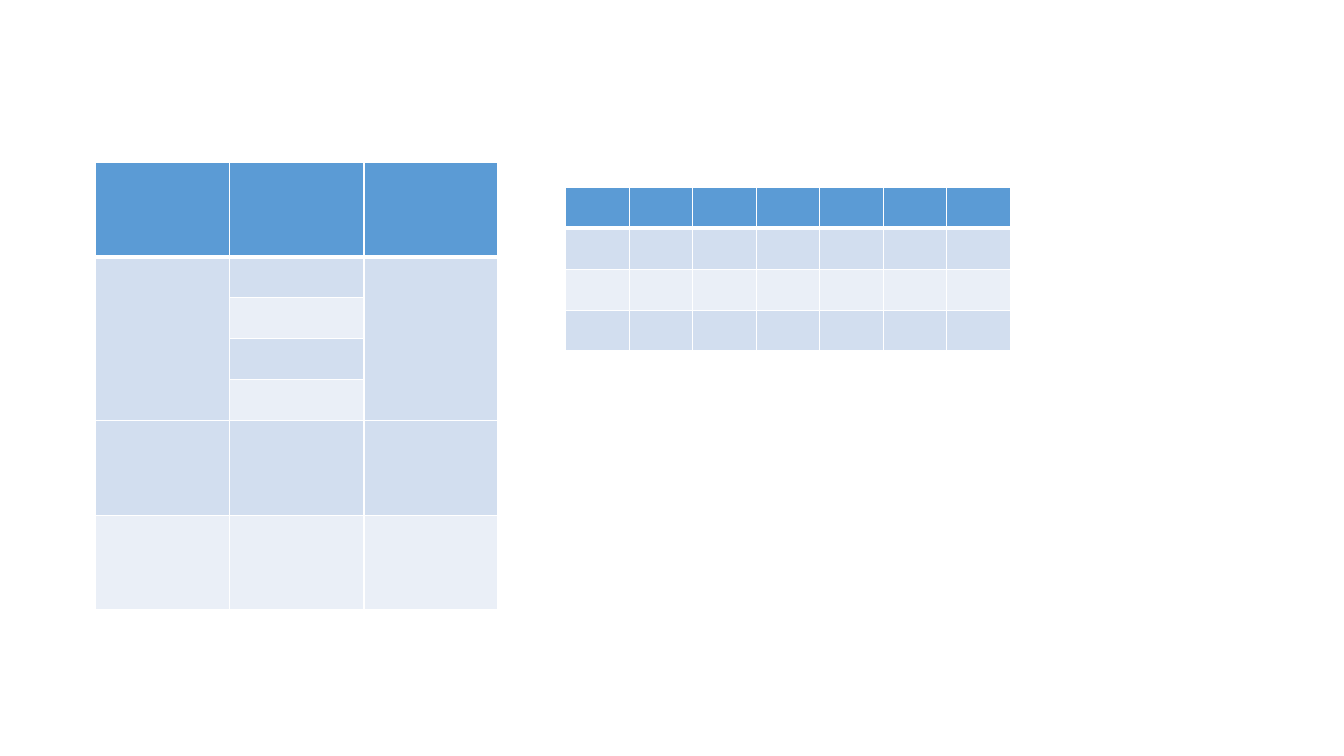
from lxml.etree import SubElement
from pptx import Presentation
from pptx.dml.color import RGBColor
from pptx.oxml.ns import qn
from pptx.util import Inches, Pt

HEADER_BLUE = RGBColor(0x5B, 0x9B, 0xD5)
BAND_DARK = RGBColor(0xD2, 0xDE, 0xEF)
BAND_LIGHT = RGBColor(0xEA, 0xEF, 0xF7)
GRID_WHITE = RGBColor(0xFF, 0xFF, 0xFF)


class BandedSlide:
    grid_width = Pt(1)
    header_rule_width = Pt(3)

    def __init__(self, presentation):
        self.slide = presentation.slides.add_slide(presentation.slide_layouts[6])

    def table(self, left, top, column_widths, row_heights, row_spans=()):
        """Add a banded table; row_spans lists (first row, last row, column)."""
        grid = self.slide.shapes.add_table(
            len(row_heights), len(column_widths), Inches(left), Inches(top),
            Inches(sum(column_widths)), Inches(sum(row_heights))).table
        for column, width in zip(grid.columns, column_widths):
            column.width = Inches(width)
        for index, (row, height) in enumerate(zip(grid.rows, row_heights)):
            row.height = Inches(height)
            for cell in row.cells:
                self.style_cell(cell, index)
        for first, last, column in row_spans:
            grid.cell(first, column).merge(grid.cell(last, column))

    def style_cell(self, cell, row_index):
        widths = dict.fromkeys(("lnL", "lnR", "lnT", "lnB"), self.grid_width)
        if row_index == 0:
            widths["lnB"] = self.header_rule_width
        elif row_index == 1:
            widths["lnT"] = self.header_rule_width
        properties = cell._tc.get_or_add_tcPr()
        for side, width in widths.items():
            border = SubElement(properties, qn(f"a:{side}"), w=str(width))
            paint = SubElement(border, qn("a:solidFill"))
            SubElement(paint, qn("a:srgbClr"), val=str(GRID_WHITE))
        cell.fill.solid()
        band = BAND_DARK if row_index % 2 else BAND_LIGHT
        cell.fill.fore_color.rgb = band if row_index else HEADER_BLUE


def main():
    presentation = Presentation()
    presentation.slide_width = Inches(13.33)
    presentation.slide_height = Inches(7.5)

    page = BandedSlide(presentation)
    page.table(5.61, 1.86, [0.63] * 7, [0.4] * 4)
    page.table(0.95, 1.61, [1.33] * 3, [0.94] + [0.4] * 4 + [0.94] * 2,
               row_spans=[(1, 4, 0), (1, 4, 2)])

    presentation.save("out.pptx")


if __name__ == "__main__":
    main()
